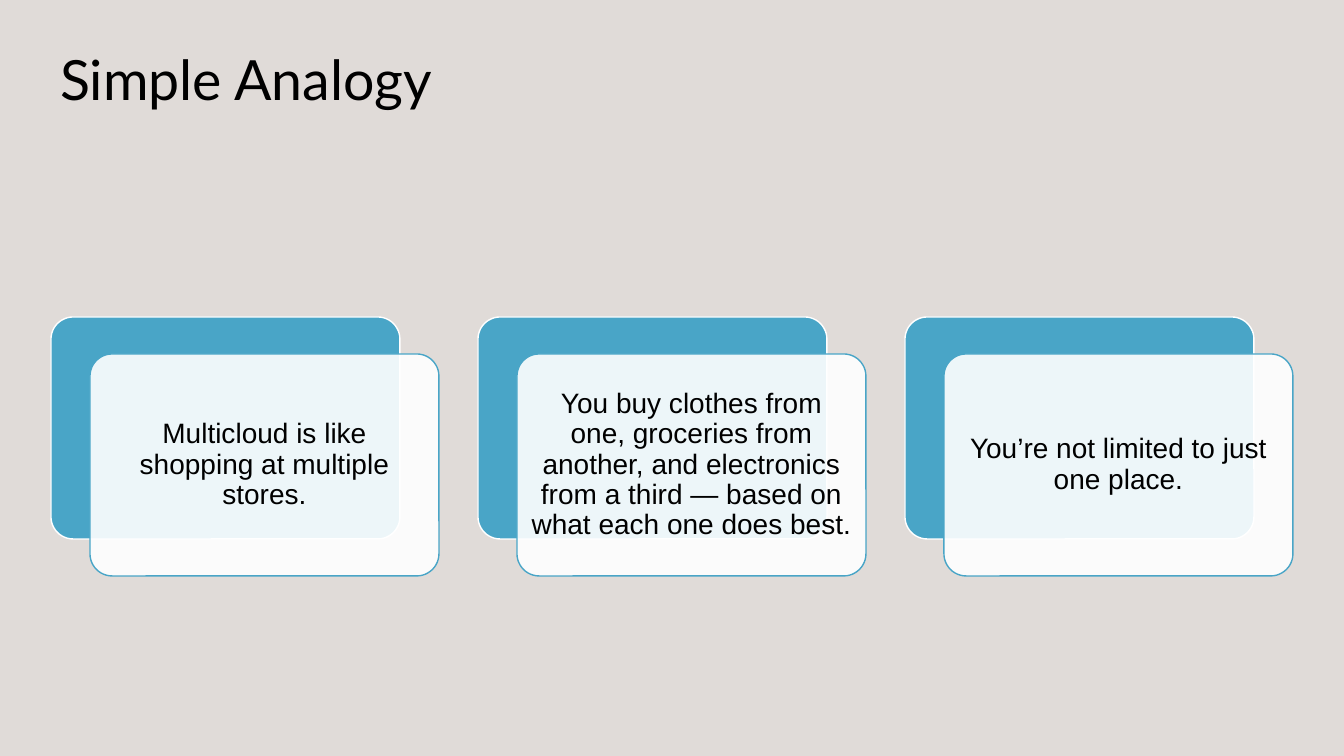
from pptx import Presentation
from pptx import util as u
from pptx.dml.color import RGBColor
from pptx.enum import shapes, text
from pptx.oxml.ns import qn
from lxml import etree

PX_PER_INCH = 100.8
BACKGROUND = RGBColor(0xE0, 0xDB, 0xD8)
BLUE = RGBColor(0x49, 0xA5, 0xC7)
WHITE = RGBColor(0xFF, 0xFF, 0xFF)
BLACK = RGBColor(0x00, 0x00, 0x00)

STATEMENTS = (
    "Multicloud is like shopping at multiple stores.",
    "You buy clothes from one, groceries from another, and electronics "
    "from a third — based on what each one does best.",
    "You’re not limited to just one place.",
)
PANEL_LEFT, PANEL_TOP, PANEL_PITCH = 51, 317, 427
PANEL_WIDTH, PANEL_HEIGHT = 349, 222
CARD_SHIFT_X, CARD_SHIFT_Y = 39, 37


def px(length):
    return u.Inches(length / PX_PER_INCH)


class SlideBuilder:
    title_font = "Lato"
    body_font = "Arial"

    def __init__(self, presentation):
        self.slide = presentation.slides.add_slide(presentation.slide_layouts[5])
        fill = self.slide.background.fill
        fill.solid()
        fill.fore_color.rgb = BACKGROUND

    def add_text(self, frame, words, font, size, alignment):
        frame.word_wrap = True
        paragraph = frame.paragraphs[0]
        paragraph.alignment = alignment
        paragraph.line_spacing = 0.9
        run = paragraph.add_run()
        run.text = words
        run.font.name = font
        run.font.size = u.Pt(size)
        run.font.color.rgb = BLACK

    def title(self, words, left, top, width, height):
        shape = self.slide.shapes.title
        shape.left, shape.top = px(left), px(top)
        shape.width, shape.height = px(width), px(height)
        frame = shape.text_frame
        frame.vertical_anchor = text.MSO_ANCHOR.TOP
        frame.margin_top = px(13)
        self.add_text(frame, words, self.title_font, 39.6, text.PP_ALIGN.LEFT)

    def panel(self, left, top, fill, line, opacity=100):
        shape = self.slide.shapes.add_shape(
            shapes.MSO_SHAPE.ROUNDED_RECTANGLE,
            px(left), px(top), px(PANEL_WIDTH), px(PANEL_HEIGHT))
        shape.adjustments[0] = 0.1
        shape.shadow.inherit = False
        shape.fill.solid()
        shape.fill.fore_color.rgb = fill
        shape.line.color.rgb = line
        shape.line.width = u.Pt(1)
        if opacity < 100:
            color = shape.element.spPr.find(qn("a:solidFill"))[0]
            etree.SubElement(color, qn("a:alpha")).set("val", str(opacity * 1000))
        return shape

    def card(self, words, left, top):
        self.panel(left, top, BLUE, WHITE)
        front = self.panel(left + CARD_SHIFT_X, top + CARD_SHIFT_Y, WHITE, BLUE, 90)
        frame = front.text_frame
        frame.margin_left = frame.margin_right = px(8)
        frame.margin_top = frame.margin_bottom = px(8)
        frame.vertical_anchor = text.MSO_ANCHOR.MIDDLE
        self.add_text(frame, words, self.body_font, 20, text.PP_ALIGN.CENTER)


def main():
    presentation = Presentation()
    presentation.slide_width, presentation.slide_height = px(1344), px(756)
    builder = SlideBuilder(presentation)
    builder.title("Simple Analogy", 50, 40, 1202, 146)
    for index, statement in enumerate(STATEMENTS):
        builder.card(statement, PANEL_LEFT + index * PANEL_PITCH, PANEL_TOP)
    presentation.save("out.pptx")


if __name__ == "__main__":
    main()
